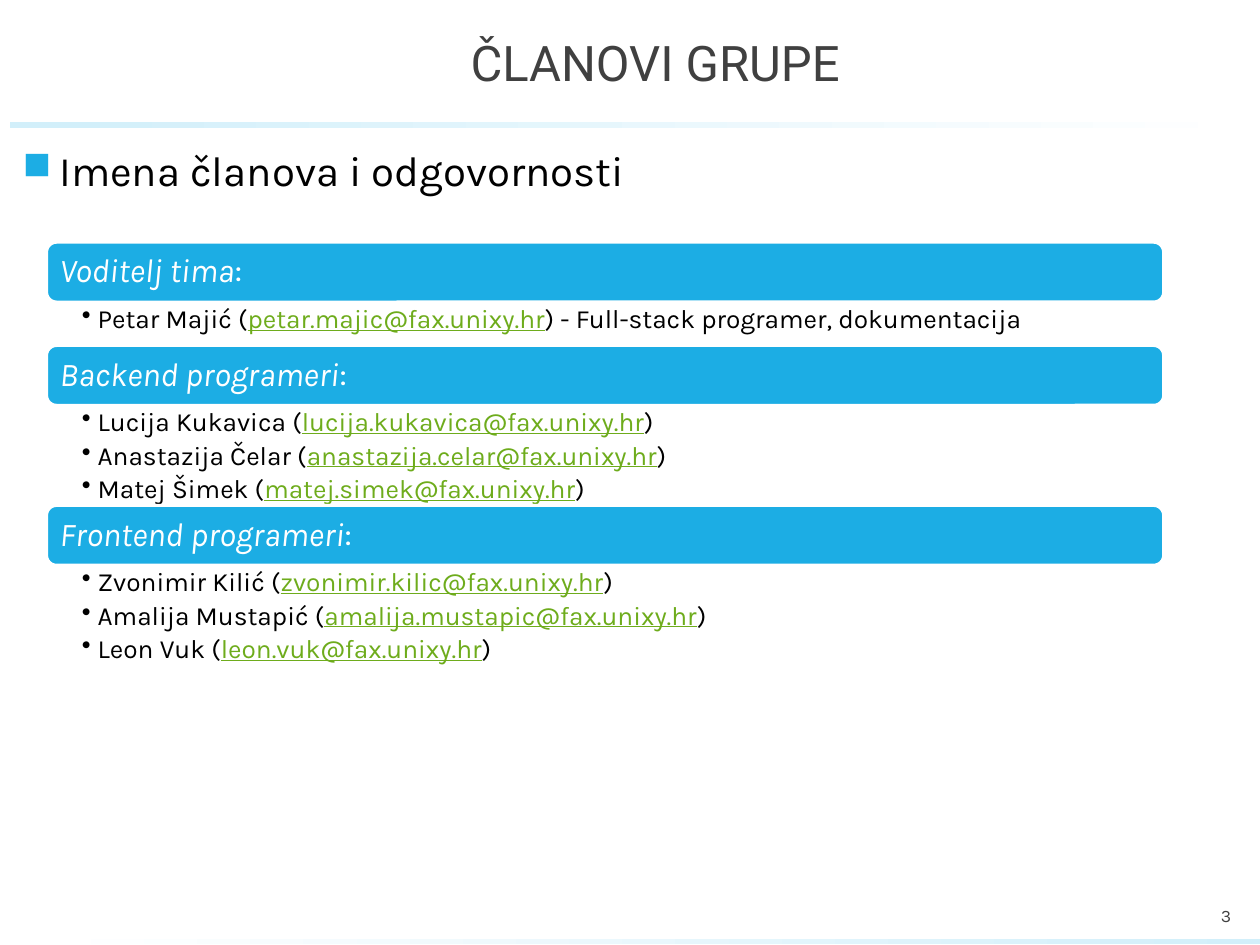
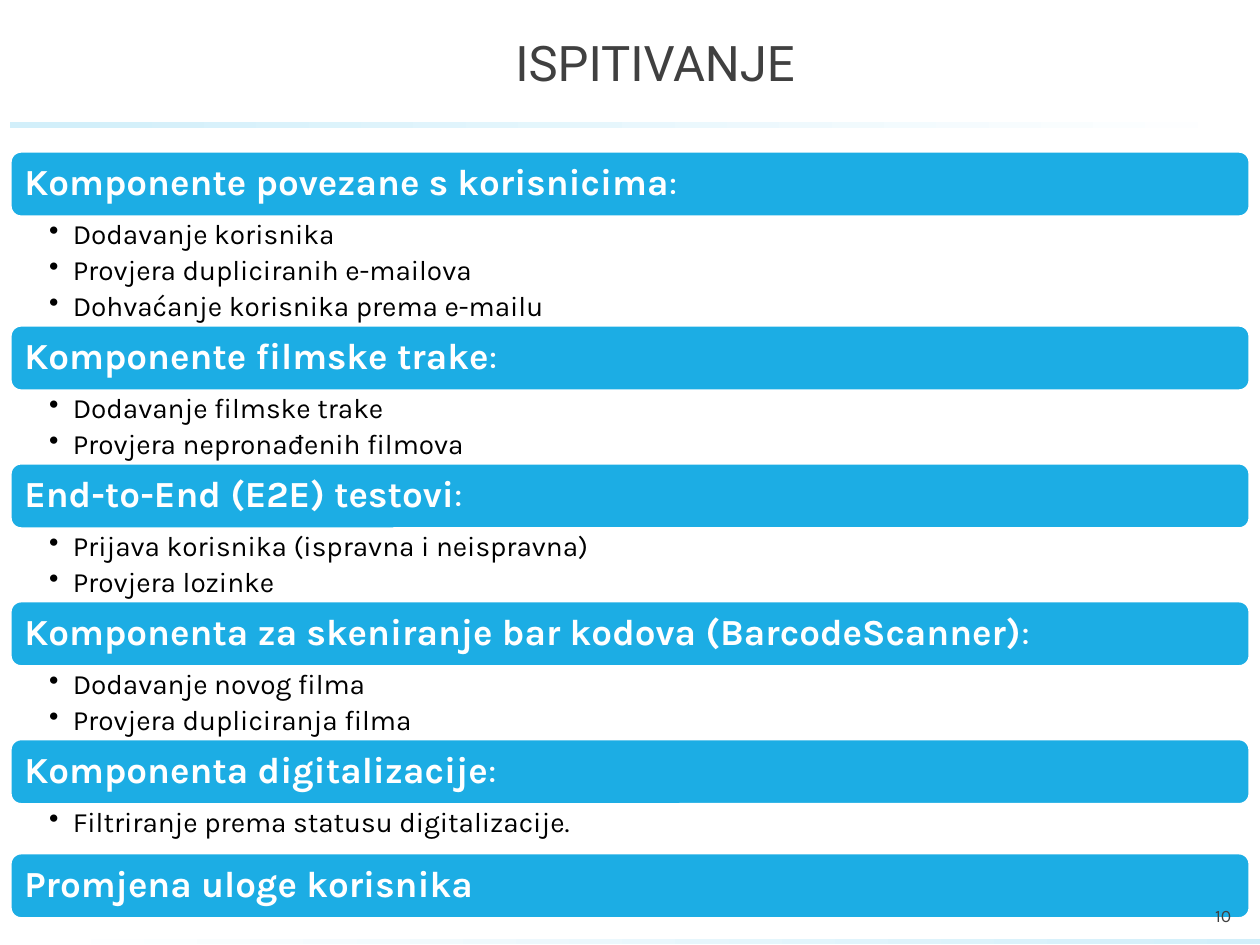
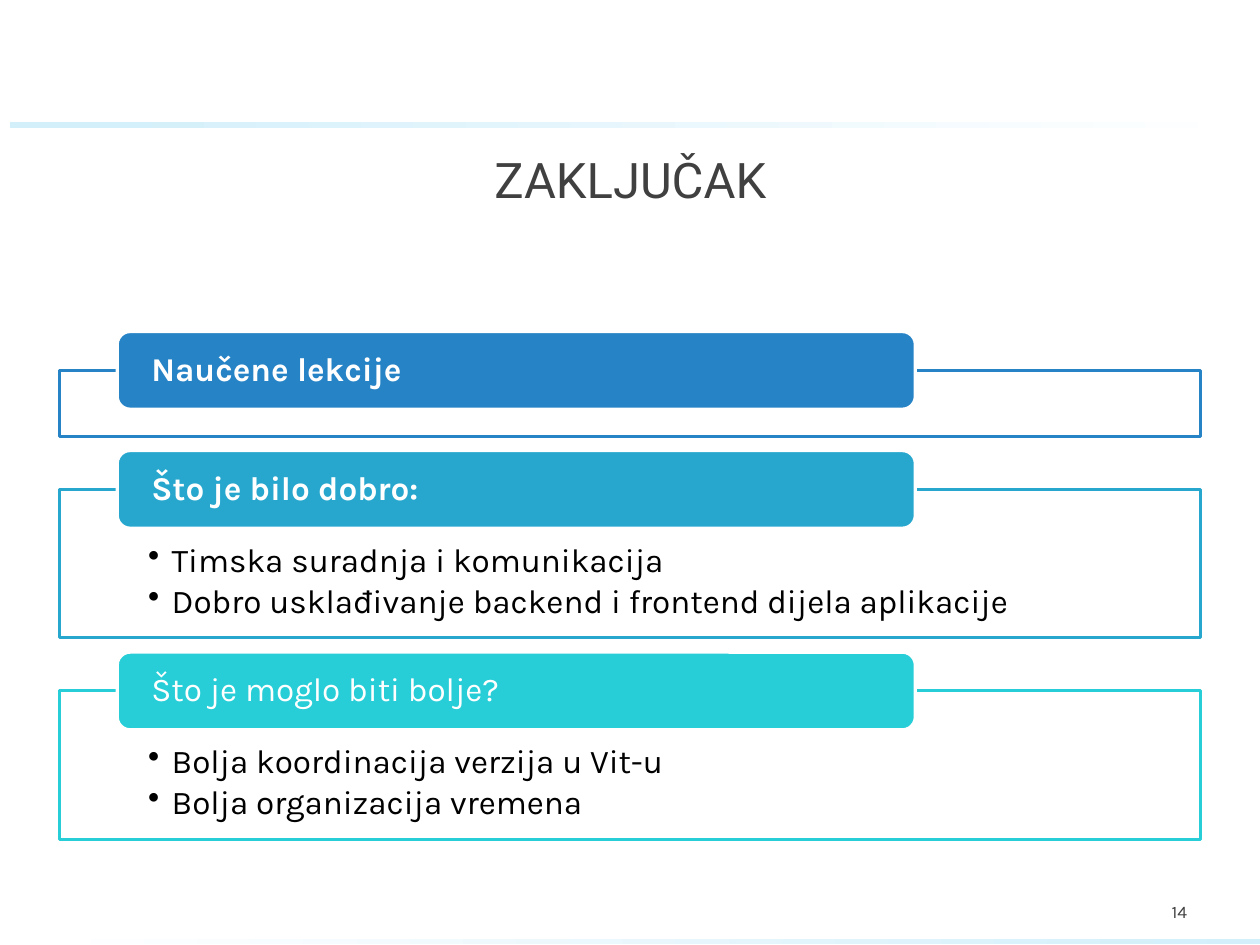
"""Builds three slides of a student team's project report."""
import lxml.etree
import pptx
import pptx.dml.color
import pptx.enum.shapes
import pptx.enum.text
import pptx.oxml.ns
import pptx.util

Pt = pptx.util.Pt
KINDS = pptx.enum.shapes.MSO_SHAPE
SIDES = pptx.enum.text.PP_ALIGN
SPOTS = pptx.enum.text.MSO_ANCHOR
HUES = {
    "white": "FFFFFF", "black": "000000", "gray": "404040", "pale": "D2EFFA",
    "sky": "1CADE4", "link": "6EAC1C",
    "blue": "2683C6", "teal": "27A7CE", "aqua": "27CED7",
}
MAIL = "@fax.unixy.hr"


def tint(name):
    return pptx.dml.color.RGBColor.from_string(HUES[name])


def mark(para, sign, dent, hue=None, scale=None):
    props = para._p.get_or_add_pPr()
    props.set("marL", str(Pt(dent)))
    props.set("indent", str(-Pt(dent)))

    def add(parent, tag, **attrs):
        return lxml.etree.SubElement(parent, pptx.oxml.ns.qn(tag), **attrs)

    if hue:
        add(add(props, "a:buClr"), "a:srgbClr", val=HUES[hue])
    if scale:
        add(props, "a:buSzPct", val=str(scale * 1000))
    add(props, "a:buChar", char=sign)


def write(frame, text, size=15, hue="black", face="Karla", side=SIDES.LEFT,
          lead=None, above=0, below=0, sign=None, **runs):
    """Add a paragraph of plain text or of (text, changes) runs to a frame."""
    para = frame.paragraphs[0]
    if para.runs:
        para = frame.add_paragraph()
    para.alignment = side
    para.line_spacing = lead
    para.space_before, para.space_after = Pt(above), Pt(below)
    if sign:
        mark(para, **sign)
    for part, diff in [(text, {})] if isinstance(text, str) else text:
        look = {"hue": hue, **runs, **diff}
        run = para.add_run()
        run.text = part
        run.font.name, run.font.size = face, Pt(size)
        run.font.color.rgb = tint(look.pop("hue"))
        for key, value in look.items():
            setattr(run.font, key, value)


class Deck:
    """Holds the shared style and the current slide."""

    def __init__(self):
        self.file = pptx.Presentation()
        self.file.slide_width, self.file.slide_height = Pt(720), Pt(540)
        self.slide = None

    def start(self, title, box=(62.6, 2.9, 623.5, 65.5)):
        self.slide = self.file.slides.add_slide(self.file.slide_layouts[6])
        self.fade(5.8, 69.8, 708.5, 3.6, "pale", "white")
        self.fade(0, 536.4, 720, 3, "white", "pale")
        write(self.text(*box, spot=SPOTS.MIDDLE), title, size=28, hue="gray",
              face="Roboto", side=SIDES.CENTER)

    def shape(self, kind, x, y, w, h):
        item = self.slide.shapes.add_shape(kind, Pt(x), Pt(y), Pt(w), Pt(h))
        item.shadow.inherit = False
        return item

    def fade(self, x, y, w, h, first, last):
        band = self.shape(KINDS.RECTANGLE, x, y, w, h)
        band.line.fill.background()
        band.fill.gradient()
        band.fill.gradient_angle = 0
        for stop, hue, place in zip(band.fill.gradient_stops, (first, last), (0.03, 1)):
            stop.color.rgb, stop.position = tint(hue), place

    def box(self, kind, x, y, w, h, fill, line, pads, spot):
        item = self.shape(kind, x, y, w, h)
        item.fill.solid()
        item.fill.fore_color.rgb = tint(fill)
        item.line.color.rgb, item.line.width = tint(line), Pt(1.75)
        return self.frame(item, pads, spot)

    def bar(self, x, y, w, h, fill, pads):
        return self.box(KINDS.ROUNDED_RECTANGLE, x, y, w, h, fill, "white",
                        pads, SPOTS.MIDDLE)

    def text(self, x, y, w, h, pads=(7.2, 3.6, 7.2, 3.6), spot=SPOTS.TOP):
        item = self.slide.shapes.add_textbox(Pt(x), Pt(y), Pt(w), Pt(h))
        return self.frame(item, pads, spot)

    def frame(self, item, pads, spot):
        frame = item.text_frame
        frame.word_wrap, frame.vertical_anchor = True, spot
        for side, pad in zip(("left", "top", "right", "bottom"), pads):
            setattr(frame, "margin_" + side, Pt(pad))
        return frame

    def list(self, frame, items, size, dent, below):
        for item in items:
            write(frame, item, size=size, lead=0.9, below=below,
                  sign={"sign": "•", "dent": dent})

    def stack(self, parts, x, y, w, high, pad, pads, head, body):
        for title, items, room in parts:
            write(self.bar(x, y, w, high, "sky", (pad,) * 4), title,
                  hue="white", lead=0.9, **head)
            y += high
            if items:
                self.list(self.text(x, y, w, room, pads), items, **body)
            y += room

    def number(self, value, box=(673.2, 511.9, 37.4, 22.3)):
        write(self.text(*box, spot=SPOTS.MIDDLE), value, size=10, hue="gray",
              side=SIDES.RIGHT)


def person(name, mail, role=""):
    return [(name + " (", {}), (mail + MAIL, {"hue": "link", "underline": True}),
            (")" + role, {})]


def team(deck):
    deck.start("ČLANOVI GRUPE")
    write(deck.text(5.8, 76.3, 708.5, 425.5), "Imena članova i odgovornosti",
          size=24, lead=1.1, above=5, below=3,
          sign={"sign": "■", "dent": 21, "hue": "sky", "scale": 92})
    groups = [
        ("Voditelj tima", [
            person("Petar Majić", "petar.majic", " - Full-stack programer, dokumentacija")], 24.8),
        ("Backend programeri", [
            person("Lucija Kukavica", "lucija.kukavica"),
            person("Anastazija Čelar", "anastazija.celar"),
            person("Matej Šimek", "matej.simek")], 57.2),
        ("Frontend programeri", [
            person("Zvonimir Kilić", "zvonimir.kilic"),
            person("Amalija Mustapić", "amalija.mustapic"),
            person("Leon Vuk", "leon.vuk")], 57.2),
    ]
    parts = [([(name, {"italic": True}), (":", {})], items, room)
             for name, items, room in groups]
    deck.stack(parts, 26.6, 138.4, 638.4, 34.2, 5.8, (20.2, 2, 10.8, 2),
               {"size": 19}, {"size": 15, "dent": 9, "below": 3})
    deck.number("3")


def tests(deck):
    deck.start("ISPITIVANJE")
    colon = (":", {"bold": False})
    parts = [
        ([("Komponente povezane s korisnicima", {}), colon],
         ["Dodavanje korisnika", "Provjera dupliciranih e-mailova",
          "Dohvaćanje korisnika prema e-mailu"], 61.8),
        ([("Komponente filmske trake", {}), colon],
         ["Dodavanje filmske trake", "Provjera nepronađenih filmova"], 41.2),
        ([("End-to-End (E2E) testovi", {}), colon],
         ["Prijava korisnika (ispravna i neispravna)", "Provjera lozinke"], 41.2),
        ([("Komponenta za skeniranje bar kodova (BarcodeScanner)", {}), colon],
         ["Dodavanje novog filma", "Provjera dupliciranja filma"], 41.2),
        ([("Komponenta digitalizacije", {}), colon],
         ["Filtriranje prema statusu digitalizacije."], 27.6),
        ("Promjena uloge korisnika", [], 0),
    ]
    deck.stack(parts, 5.8, 86.4, 708.5, 37.6, 6.3, (22.3, 2, 11.5, 2),
               {"size": 21, "bold": True}, {"size": 16, "dent": 13.5, "below": 3.2})
    deck.number("10")


def close(deck):
    deck.start("ZAKLJUČAK", (34.4, 55.4, 651.6, 93.6))
    deck.number("14", (623.5, 506.2, 61.9, 28.8))
    parts = [
        ("Naučene lekcije", "blue", True, [], 37.8),
        ("Što je bilo dobro:", "teal", True,
         ["Timska suradnja i komunikacija",
          "Dobro usklađivanje backend i frontend dijela aplikacije"], 85),
        ("Što je moglo biti bolje?", "aqua", False,
         ["Bolja koordinacija verzija u Vit-u", "Bolja organizacija vremena"], 85),
    ]
    y = 211.5
    for title, hue, bold, items, high in parts:
        frame = deck.box(KINDS.RECTANGLE, 34.2, y, 651.6, high, "white", hue,
                         (50.4, 31, 50.4, 10.8), SPOTS.TOP)
        deck.list(frame, items, size=19, dent=13.5, below=2.9)
        write(deck.bar(67, y - 22, 456, 44.3, hue, (17.3, 0, 17.3, 0)), title,
              size=19, hue="white", lead=0.9, bold=bold)
        y += high + 30.2


def main():
    deck = Deck()
    for build in (team, tests, close):
        build(deck)
    deck.file.save("out.pptx")


if __name__ == "__main__":
    main()
